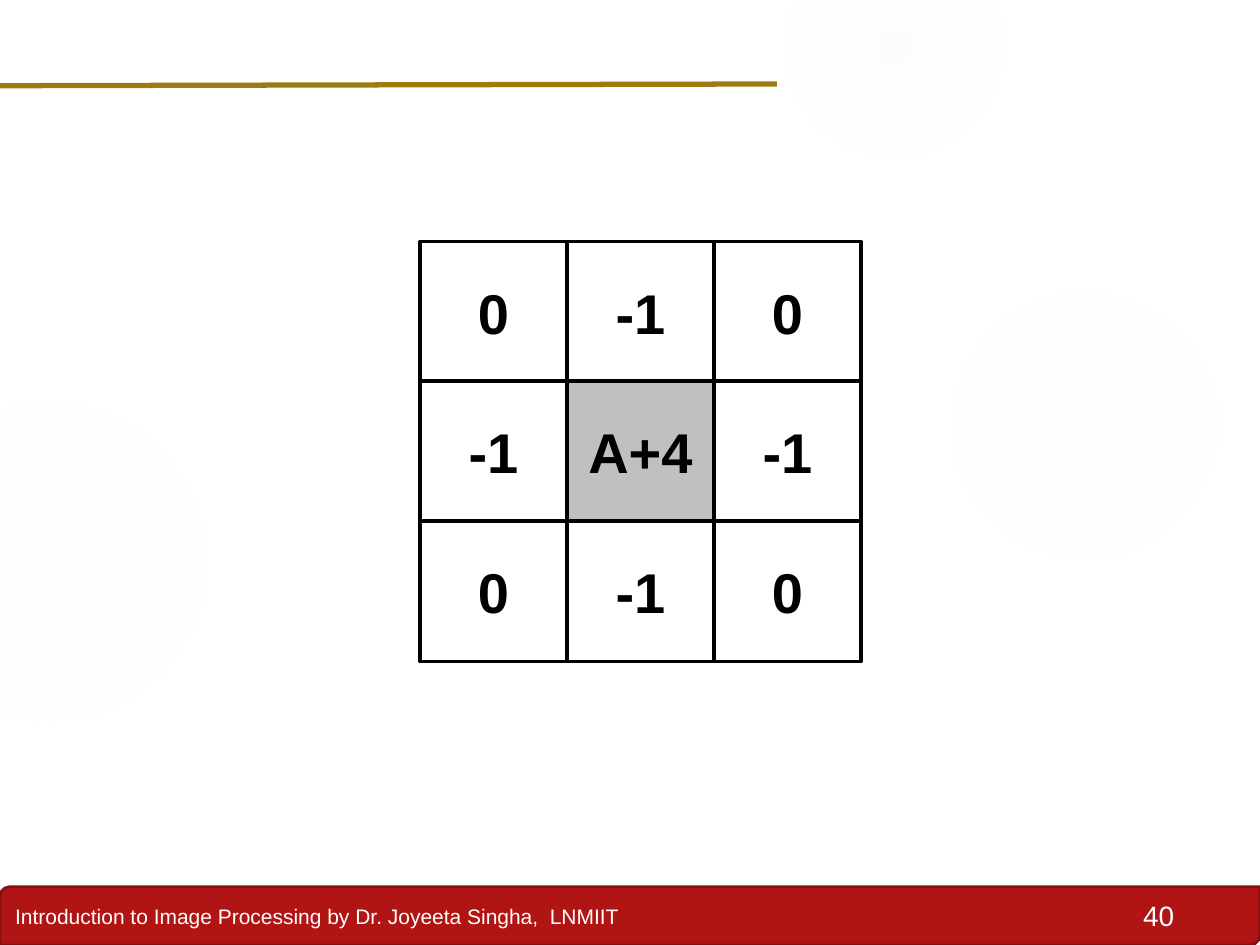
"""Build a slide with a 3 by 3 high-boost filter mask."""
from lxml.etree import SubElement
from pptx import Presentation
from pptx.dml.color import RGBColor
from pptx.enum.shapes import MSO_CONNECTOR, MSO_SHAPE
from pptx.enum.text import MSO_ANCHOR, PP_ALIGN
from pptx.oxml import parse_xml
from pptx.oxml.ns import nsdecls, qn
from pptx.util import Pt

RED = RGBColor(0xB0, 0x15, 0x13)
DARK = RGBColor(0x82, 0x10, 0x0E)
GOLD = RGBColor(0x9E, 0x7B, 0x12)
GRAY = RGBColor(0xC0, 0xC0, 0xC0)
PALE = RGBColor(0xF3, 0xF3, 0xF3)
WHITE = RGBColor(0xFF, 0xFF, 0xFF)
BLACK = RGBColor(0, 0, 0)

FOOT = {"name": "Arial", "size": Pt(12), "bold": False}
PAGE = {"name": "Arial", "size": Pt(16), "bold": False}
MASK = {"name": "Arial", "size": Pt(32), "bold": True}


def write(shape, text, font, color, align, wrap=True):
    frame = shape.text_frame
    frame.word_wrap = wrap
    para = frame.paragraphs[0]
    para.alignment = align
    run = para.add_run()
    run.text = text
    for key, val in font.items():
        setattr(run.font, key, val)
    run.font.color.rgb = color


def draw(shapes, kind, box, fill, edge, width):
    shape = shapes.add_shape(kind, *map(Pt, box))
    shape.shadow.inherit = False
    shape.fill.solid()
    shape.fill.fore_color.rgb = fill
    shape.line.color.rgb = edge
    shape.line.width = Pt(width)
    shape.text_frame.vertical_anchor = MSO_ANCHOR.MIDDLE
    return shape


deck = Presentation()
deck.slide_width, deck.slide_height = Pt(720), Pt(540)
slide = deck.slides.add_slide(deck.slide_layouts[6])
shapes = slide.shapes
slide.background.fill.solid()
slide.background.fill.fore_color.rgb = WHITE

bar = draw(shapes, MSO_SHAPE.ROUND_2_DIAG_RECTANGLE, (0, 506.7, 720, 33.3), RED, DARK, 1.5)
write(bar, "Introduction to Image Processing by Dr. Joyeeta Singha,  LNMIIT",
      FOOT, WHITE, PP_ALIGN.LEFT)

glows = [
    (509, 131.8, 222, ((0, 7), (36, 6), (69, 0))),
    (448, -36, 126, ((0, 14), (36, 7), (73, 0))),
    (-66, 228, 186, ((0, 8), (36, 8), (72, 0))),
]
for left, top, size, stops in glows:
    glow = shapes.add_shape(MSO_SHAPE.OVAL, Pt(left), Pt(top), Pt(size), Pt(size))
    glow.shadow.inherit = False
    glow.line.fill.background()
    marks = "".join(
        f'<a:gs pos="{pos * 1000}"><a:srgbClr val="{PALE}">'
        f'<a:alpha val="{alpha * 1000}"/></a:srgbClr></a:gs>'
        for pos, alpha in stops)
    fade = parse_xml(
        f'<a:gradFill {nsdecls("a")} rotWithShape="1"><a:gsLst>{marks}</a:gsLst>'
        '<a:path path="circle"><a:fillToRect l="50000" t="50000" r="50000" b="50000"/>'
        '</a:path></a:gradFill>')
    glow._element.spPr.insert(2, fade)

page = shapes.add_textbox(Pt(624), Pt(509.8), Pt(54), Pt(26.6))
write(page, "40", PAGE, WHITE, PP_ALIGN.RIGHT)

rule = shapes.add_connector(MSO_CONNECTOR.STRAIGHT, Pt(-1.4), Pt(49), Pt(444), Pt(48))
rule.line.color.rgb = GOLD
rule.line.width = Pt(3)
SubElement(rule._element.spPr, qn("a:effectLst"))

grid = [("0", "-1", "0"), ("-1", "A+4", "-1"), ("0", "-1", "0")]
group = shapes.add_group_shape()
for row, texts in enumerate(grid):
    for col, text in enumerate(texts):
        fill = GRAY if row == col == 1 else WHITE
        box = (240 + 84 * col, 138 + 79.8 * row, 84, 80.4)
        cell = draw(group.shapes, MSO_SHAPE.RECTANGLE, box, fill, BLACK, 2)
        write(cell, text, MASK, BLACK, PP_ALIGN.CENTER, False)

deck.save("out.pptx")
